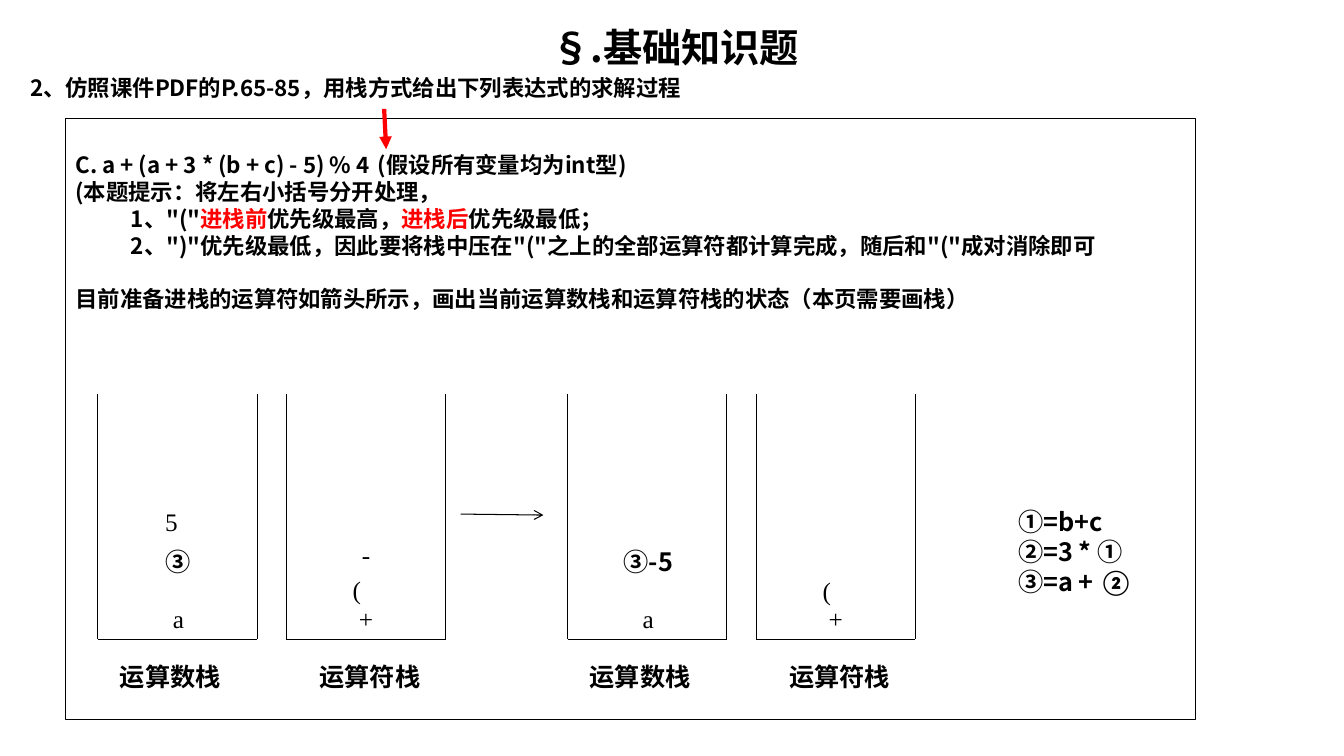
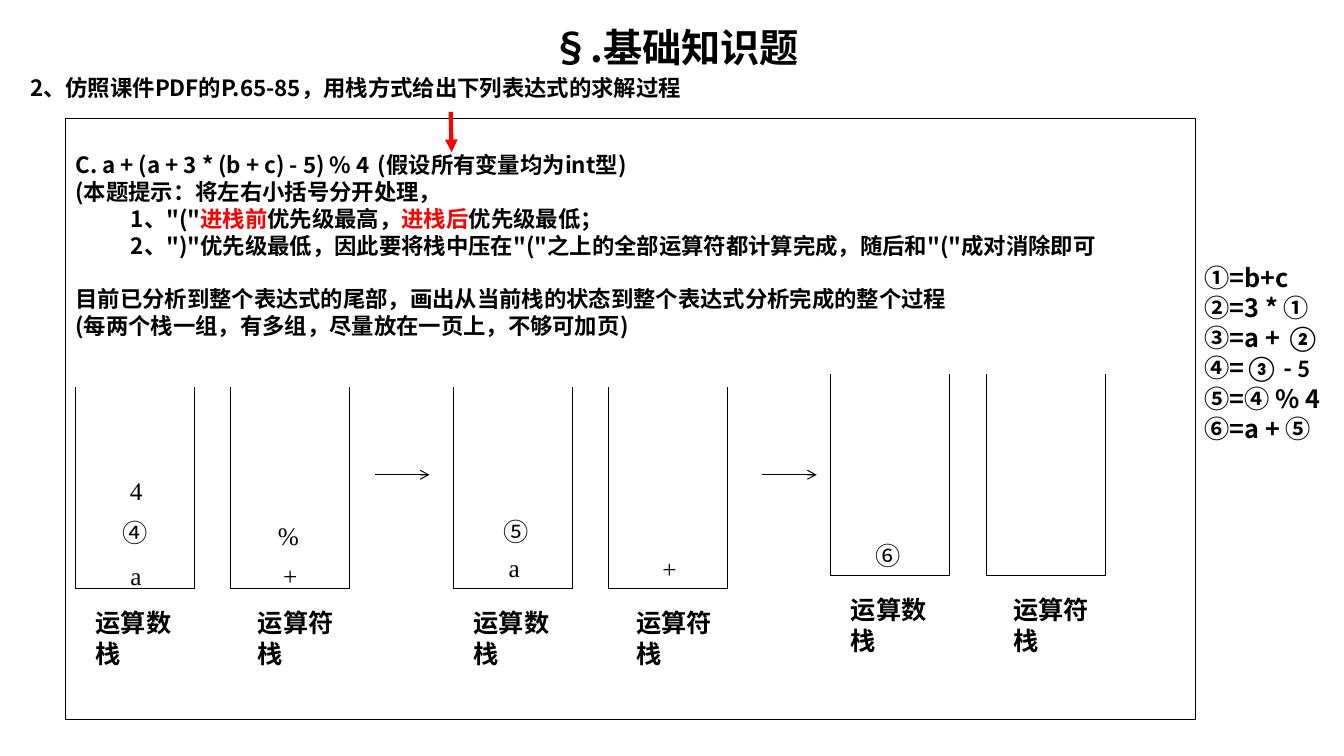
from lxml.etree import SubElement
from pptx import Presentation
from pptx.dml.color import RGBColor
from pptx.enum.shapes import MSO_CONNECTOR, MSO_SHAPE
from pptx.enum.text import MSO_ANCHOR, MSO_AUTO_SIZE, PP_ALIGN
from pptx.oxml.ns import qn
from pptx.util import Pt

PX = 9144  # EMU per px, 100 px to the inch
COLORS = {"ink": "000000", "accent": "FF0000"}
HEAVY, SERIF, PLAIN = "Noto Sans CJK SC", "Times New Roman", "Calibri"
LINE_RATIO = 1.2

TITLE = "§.基础知识题"
QUESTION = "2、仿照课件PDF的P.65-85，用栈方式给出下列表达式的求解过程"
HINT_INDENT, NOTE_STOP = 55, 307
# Each paragraph: its runs as (text, format), then its paragraph format
EXERCISE = [
    ([("C. a + (a + 3 * (b + c) - 5) % 4\t(假设所有变量均为int型)", {})],
     {"tab": NOTE_STOP}),
    ([("(本题提示：将左右小括号分开处理，", {})], {}),
    ([('1、"("', {}), ("进栈前", {"color": "accent"}), ("优先级最高，", {}),
      ("进栈后", {"color": "accent"}), ("优先级最低；", {})],
     {"indent": HINT_INDENT}),
    ([('2、")"优先级最低，因此要将栈中压在"("之上的全部运算符都计算完成，随后和"("成对消除即可', {})],
     {"indent": HINT_INDENT}),
]
LEGEND = [
    [("①=b+c", {})],
    [("②=3 * ①", {})],
    [("③=a + ", {}), ("②", {"font": PLAIN})],
    [("④=", {}), ("③ - 5", {"font": PLAIN})],
    [("⑤=④ % 4", {})],
    [("⑥=a + ⑤", {})],
]

# A stack entry: text, centre from the stack's left, top above its floor, format
LIGHT = {"bold": False}
DIGIT = {"font": SERIF, "bold": False}
SLIDES = [
    {
        "pointer": (381, 108, 383, 148),
        "tasks": ["目前准备进栈的运算符如箭头所示，画出当前运算数栈和运算符栈的状态（本页需要画栈）"],
        "legend": (1000, 497, 278, 131), "legend_count": 3,
        "stack": {"width": 158, "height": 243, "pitch": 187, "label_drop": 17,
                  "labels": [("运算数栈", 12, 146), ("运算符栈", 23, 127)]},
        "steps": [
            (97, 634, [[("a", 80, 40, DIGIT), ("③", 80, 97, {}), ("5", 73, 137, DIGIT)],
                       [("+", 79, 40, DIGIT), ("(", 70, 69, DIGIT), ("-", 79, 104, DIGIT)]]),
            (563, 634, [[("a", 80, 40, DIGIT), ("③-5", 80, 97, {})],
                        [("+", 79, 40, DIGIT), ("(", 70, 68, DIGIT)]]),
        ],
        "arrows": [(457, 510, 539, 511)],
    },
    {
        "pointer": (447, 111, 448, 151),
        "tasks": ["目前已分析到整个表达式的尾部，画出从当前栈的状态到整个表达式分析完成的整个过程",
                  "(每两个栈一组，有多组，尽量放在一页上，不够可加页)"],
        "legend": (1185, 255, 148, 252), "legend_count": 6,
        "stack": {"width": 118, "height": 200, "pitch": 154, "label_drop": 14,
                  "labels": [("运算数栈", 10, 109), ("运算符栈", 17, 95)]},
        "steps": [
            (75, 584, [[("a", 60, 33, DIGIT), ("④", 59, 76, LIGHT), ("4", 60, 117, DIGIT)],
                       [("+", 59, 33, DIGIT), ("%", 57, 73, DIGIT)]]),
            (450, 584, [[("a", 60, 41, DIGIT), ("⑤", 62, 77, LIGHT)],
                        [("+", 60, 40, DIGIT)]]),
            (824, 571, [[("⑥", 57, 40, LIGHT)], []]),
        ],
        "arrows": [(372, 471, 426, 471), (756, 471, 810, 471)],
    },
]


def px(*lengths):
    return [length * PX for length in lengths]


def rgb(name):
    return RGBColor.from_string(COLORS[name])


def write_run(paragraph, text, size, font=HEAVY, bold=True, color="ink"):
    run = paragraph.add_run()
    run.text = text
    for name, value in {"size": Pt(size), "name": font, "bold": bold}.items():
        setattr(run.font, name, value)
    run.font.color.rgb = rgb(color)
    SubElement(run.font._element, qn("a:ea"), typeface=font)


def write_paragraph(paragraph, runs, size, align=PP_ALIGN.LEFT, indent=0, tab=0, before=0):
    serif = any(style.get("font") == SERIF for _, style in runs)
    spacing = {"alignment": align, "space_before": Pt(before), "space_after": Pt(0),
               "line_spacing": 1.0 if serif else Pt(round(size * LINE_RATIO, 1))}
    for name, value in spacing.items():
        setattr(paragraph, name, value)
    properties = paragraph._p.get_or_add_pPr()
    properties.set("marL", str(indent * PX))
    properties.set("indent", "0")
    if tab:
        stops = SubElement(properties, qn("a:tabLst"))
        SubElement(stops, qn("a:tab"), pos=str(tab * PX), algn="l")
    for text, style in runs:
        write_run(paragraph, text, size, **style)


def write_frame(frame, paragraphs, size, wrap=True, top=5):
    """Fill a text frame with (runs, paragraph format) pairs."""
    layout = {"word_wrap": wrap, "auto_size": MSO_AUTO_SIZE.NONE,
              "vertical_anchor": MSO_ANCHOR.TOP, "margin_left": 10 * PX,
              "margin_right": 10 * PX, "margin_top": top * PX, "margin_bottom": 5 * PX}
    for name, value in layout.items():
        setattr(frame, name, value)
    for index, (runs, style) in enumerate(paragraphs):
        paragraph = frame.add_paragraph() if index else frame.paragraphs[0]
        write_paragraph(paragraph, runs, size, **style)


def add_text(shapes, box, paragraphs, size=18, wrap=True):
    write_frame(shapes.add_textbox(*px(*box)).text_frame, paragraphs, size, wrap)


def add_line(shapes, ends, color="ink", weight=0.75, head=None):
    line = shapes.add_connector(MSO_CONNECTOR.STRAIGHT, *px(*ends))
    line.line.color.rgb = rgb(color)
    line.line.width = Pt(weight)
    if head:
        SubElement(line.line._get_or_add_ln(), qn("a:tailEnd"), type=head)
    SubElement(line._element.spPr, qn("a:effectLst"))


def add_heading(slide):
    title = slide.shapes.title
    for name, value in zip(("left", "top", "width", "height"), px(20, 18, 1299, 56)):
        setattr(title, name, value)
    write_frame(title.text_frame, [([(TITLE, {})], {"align": PP_ALIGN.CENTER})], 28)
    add_text(slide.shapes, (20, 69, 1299, 38), [([(QUESTION, {})], {})], 16)


def add_exercise(slide, tasks):
    panel = slide.shapes.add_shape(MSO_SHAPE.RECTANGLE, *px(65, 118, 1121, 596))
    panel.shadow.inherit = False
    panel.fill.background()
    panel.line.color.rgb = rgb("ink")
    panel.line.width = Pt(0.75)
    paragraphs = EXERCISE + [([(task, {})], {"before": 0 if index else 19.2})
                             for index, task in enumerate(tasks)]
    write_frame(panel.text_frame, paragraphs, 16, top=32)


def add_stack(shapes, left, floor, form, label, entries):
    """Draw an open-topped stack with its entries and the label below."""
    right, top = left + form["width"], floor - form["height"]
    for ends in ((left, floor, right, floor), (left, top, left, floor),
                 (right, top, right, floor)):
        add_line(shapes, ends)
    for text, center, rise, style in entries:
        add_text(shapes, (left + center - 48, floor - rise, 96, 40),
                 [([(text, style)], {"align": PP_ALIGN.CENTER})])
    name, inset, width = label
    add_text(shapes, (left + inset, floor + form["label_drop"], width, 40),
             [([(name, {})], {})])


def add_step(slide, left, floor, form, contents):
    """Group the operand stack and the operator stack of one step."""
    pair = slide.shapes.add_group_shape().shapes
    for index, (label, entries) in enumerate(zip(form["labels"], contents)):
        add_stack(pair, left + index * form["pitch"], floor, form, label, entries)


def build_slide(deck, content):
    slide = deck.slides.add_slide(deck.slide_layouts[5])
    add_heading(slide)
    add_exercise(slide, content["tasks"])
    add_line(slide.shapes, content["pointer"], "accent", 3, "triangle")
    add_text(slide.shapes, content["legend"],
             [(runs, {}) for runs in LEGEND[:content["legend_count"]]], wrap=False)
    for left, floor, contents in content["steps"]:
        add_step(slide, left, floor, content["stack"], contents)
    for ends in content["arrows"]:
        add_line(slide.shapes, ends, head="arrow")


def main():
    deck = Presentation()
    deck.slide_width, deck.slide_height = px(1333, 750)
    for content in SLIDES:
        build_slide(deck, content)
    deck.save("out.pptx")


if __name__ == "__main__":
    main()
